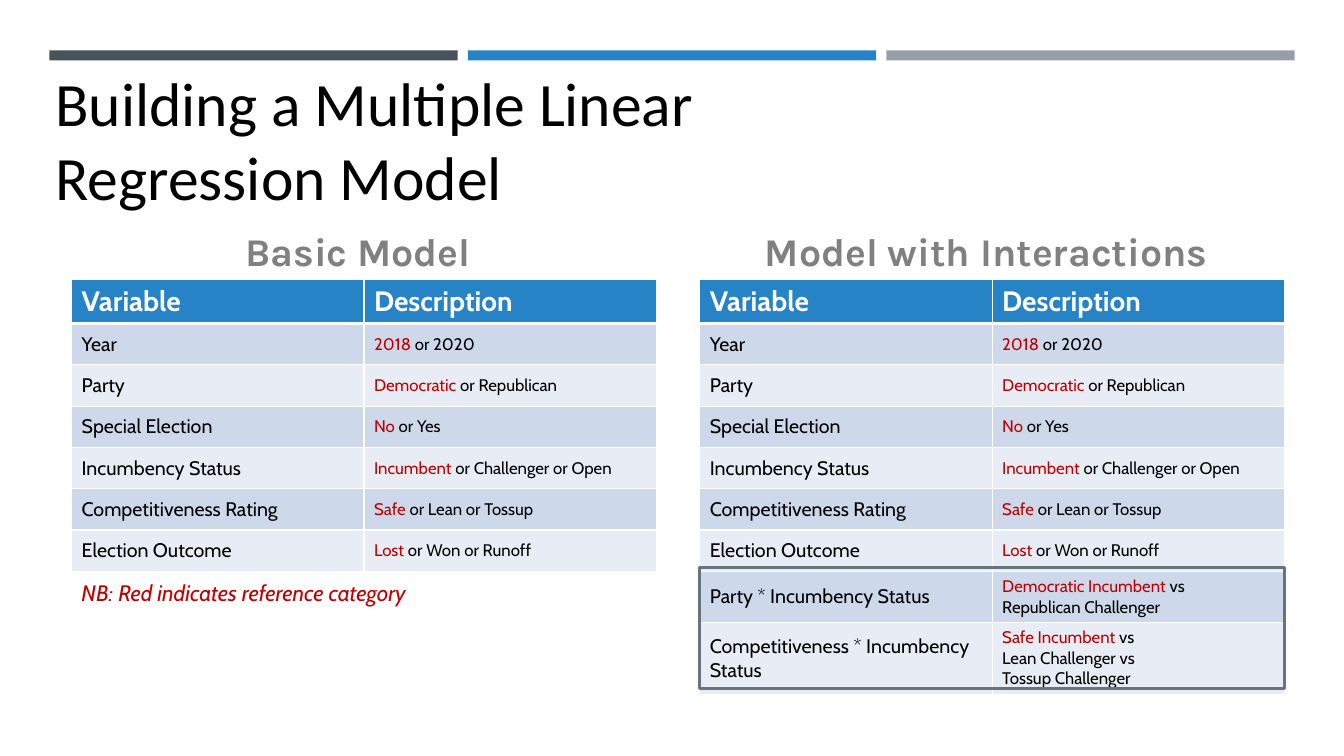
"""Build the slide comparing the basic regression model with the interaction model."""
from lxml.etree import SubElement
from pptx import Presentation
from pptx.dml.color import RGBColor
from pptx.enum.shapes import MSO_SHAPE as Preset
from pptx.enum.text import MSO_ANCHOR as Anchor, MSO_AUTO_SIZE as AutoSize, PP_ALIGN as Align
from pptx.oxml.ns import qn
from pptx.util import Inches, Pt

TITLE = "Building a Multiple Linear Regression Model"
NOTE = "NB: Red indicates reference category"
HEADER = ("Variable", "Description")
BASIC = [
    ("Year", "2018", [" or 2020"]),
    ("Party", "Democratic", [" or Republican"]),
    ("Special Election", "No", [" or Yes"]),
    ("Incumbency Status", "Incumbent", [" or Challenger or Open"]),
    ("Competitiveness Rating", "Safe", [" or Lean or Tossup"]),
    ("Election Outcome", "Lost", [" or Won or Runoff"]),
]
INTERACTIONS = [
    ("Party * Incumbency Status", "Democratic Incumbent", [" vs", "Republican Challenger"]),
    ("Competitiveness * Incumbency Status", "Safe Incumbent",
     [" vs", "Lean Challenger vs", "Tossup Challenger"]),
]
MODELS = [("Basic Model", BASIC), ("Model with Interactions", BASIC + INTERACTIONS)]
COLORS = {
    "slate": "465359", "blue": "2683C6", "gray": "969FA7", "heading": "808080",
    "white": "FFFFFF", "black": "000000", "red": "C00000",
    "odd": "CDD9EA", "even": "E8EDF5", "frame": "65757D",
}
BARS = ("slate", "blue", "gray")
BAR_LEFT, BAR_WIDTH, BAR_STEP = 0.49, 4.05, 4.15
MODEL_LEFT, MODEL_STEP = 0.71, 6.23
HEADING_TOP, HEADING_WIDTH, HEADING_HEIGHT = 2.16, 5.68, 0.61
TABLE_TOP = HEADING_TOP + HEADING_HEIGHT
COLUMN_WIDTH, ROW_HEIGHT = 2.9, 0.41
FRAME_TOP, FRAME_HEIGHT = 5.63, 1.2


def box(left, top, width, height):
    return [Inches(value) for value in (left, top, width, height)]


def place(shape, *lengths):
    shape.left, shape.top, shape.width, shape.height = box(*lengths)


def color(name):
    return RGBColor.from_string(COLORS[name])


def style(run, size, name, font="Cabin", bold=False, italic=False):
    run.font.size, run.font.name = Pt(size), font
    run.font.bold, run.font.italic = bold, italic
    run.font.color.rgb = color(name)


def add_text(paragraph, text, *look, **options):
    run = paragraph.add_run()
    run.text = text
    style(run, *look, **options)


def border(cell, row):
    widths = {"L": 1, "R": 1, "T": 3 if row == 1 else 1, "B": 3 if row == 0 else 1}
    properties = cell._tc.get_or_add_tcPr()
    for side, width in widths.items():
        line = SubElement(properties, qn(f"a:ln{side}"), w=str(Pt(width)))
        SubElement(SubElement(line, qn("a:solidFill")), qn("a:srgbClr"), val=COLORS["white"])


def add_model_table(slide, left, variables):
    rows = len(variables) + 1
    table = slide.shapes.add_table(
        rows, 2, *box(left, TABLE_TOP, 2 * COLUMN_WIDTH, rows * ROW_HEIGHT)).table
    for row in range(rows):
        fill = "blue" if row == 0 else "odd" if row % 2 else "even"
        table.rows[row].height = Inches(ROW_HEIGHT)
        for cell in table.rows[row].cells:
            border(cell, row)
            cell.fill.solid()
            cell.fill.fore_color.rgb = color(fill)
            cell.vertical_anchor = Anchor.MIDDLE if row else Anchor.TOP
    for column, label in enumerate(HEADER):
        add_text(table.cell(0, column).text_frame.paragraphs[0], label, 20, "white", bold=True)
    for row, (variable, reference, others) in enumerate(variables, 1):
        add_text(table.cell(row, 0).text_frame.paragraphs[0], variable, 14, "black")
        description = table.cell(row, 1).text_frame
        add_text(description.paragraphs[0], reference, 12, "red")
        add_text(description.paragraphs[0], others[0], 12, "black")
        for other in others[1:]:
            add_text(description.add_paragraph(), other, 12, "black")


def fill_heading(heading, left, text):
    place(heading, left, HEADING_TOP, HEADING_WIDTH, HEADING_HEIGHT)
    frame = heading.text_frame
    frame.text = text
    frame.auto_size, frame.vertical_anchor = AutoSize.NONE, Anchor.MIDDLE
    paragraph = frame.paragraphs[0]
    paragraph.alignment, paragraph.line_spacing = Align.CENTER, 1.1
    paragraph.space_before, paragraph.space_after = Pt(0), Pt(6)
    style(paragraph.runs[0], 28, "heading", "Karla", bold=True)


def main():
    deck = Presentation()
    deck.slide_width, deck.slide_height = Inches(13.33), Inches(7.5)
    slide = deck.slides.add_slide(deck.slide_layouts.get_by_name("Comparison"))
    title, left_heading, left_body, right_heading, right_body = list(slide.placeholders)[:5]
    for unused in list(slide.placeholders):
        if unused.placeholder_format.idx not in (0, 1, 3):
            unused.element.getparent().remove(unused.element)

    for index, name in enumerate(BARS):
        bar = slide.shapes.add_shape(
            Preset.RECTANGLE, *box(BAR_LEFT + index * BAR_STEP, 0.5, BAR_WIDTH, 0.1))
        bar.shadow.inherit = False
        bar.fill.solid()
        bar.fill.fore_color.rgb = color(name)
        bar.line.fill.background()

    place(title, 0.45, 0.59, 9.08, 1.55)
    title.text_frame.text = TITLE
    title.text_frame.auto_size = AutoSize.NONE
    title.text_frame.vertical_anchor = Anchor.TOP
    title.text_frame.paragraphs[0].alignment = Align.LEFT
    style(title.text_frame.paragraphs[0].runs[0], 44, "black", "Calibri")

    for index, (heading, (name, variables)) in enumerate(
            zip((left_heading, right_heading), MODELS)):
        left = MODEL_LEFT + index * MODEL_STEP
        fill_heading(heading, left, name)
        add_model_table(slide, left, variables)

    note = slide.shapes.add_textbox(*box(MODEL_LEFT, 5.7, 4.84, 0.37)).text_frame
    note.word_wrap = True
    note.text = NOTE
    style(note.paragraphs[0].runs[0], 16, "red", italic=True)

    frame = slide.shapes.add_shape(
        Preset.RECTANGLE,
        *box(MODEL_LEFT + MODEL_STEP, FRAME_TOP, 2 * COLUMN_WIDTH, FRAME_HEIGHT))
    frame.shadow.inherit = False
    frame.fill.background()
    frame.line.color.rgb = color("frame")
    frame.line.width = Pt(1.75)
    deck.save("out.pptx")


if __name__ == "__main__":
    main()
